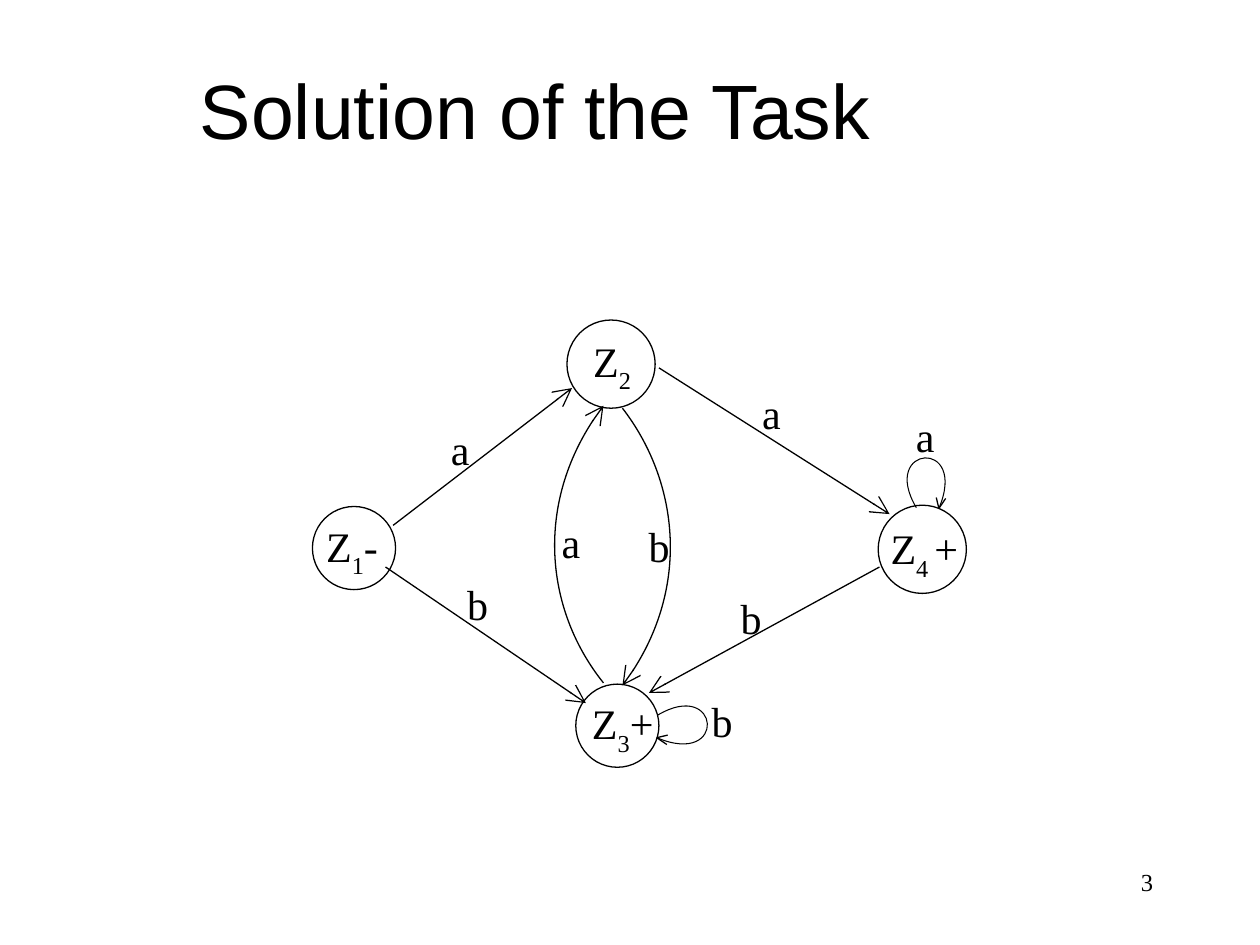
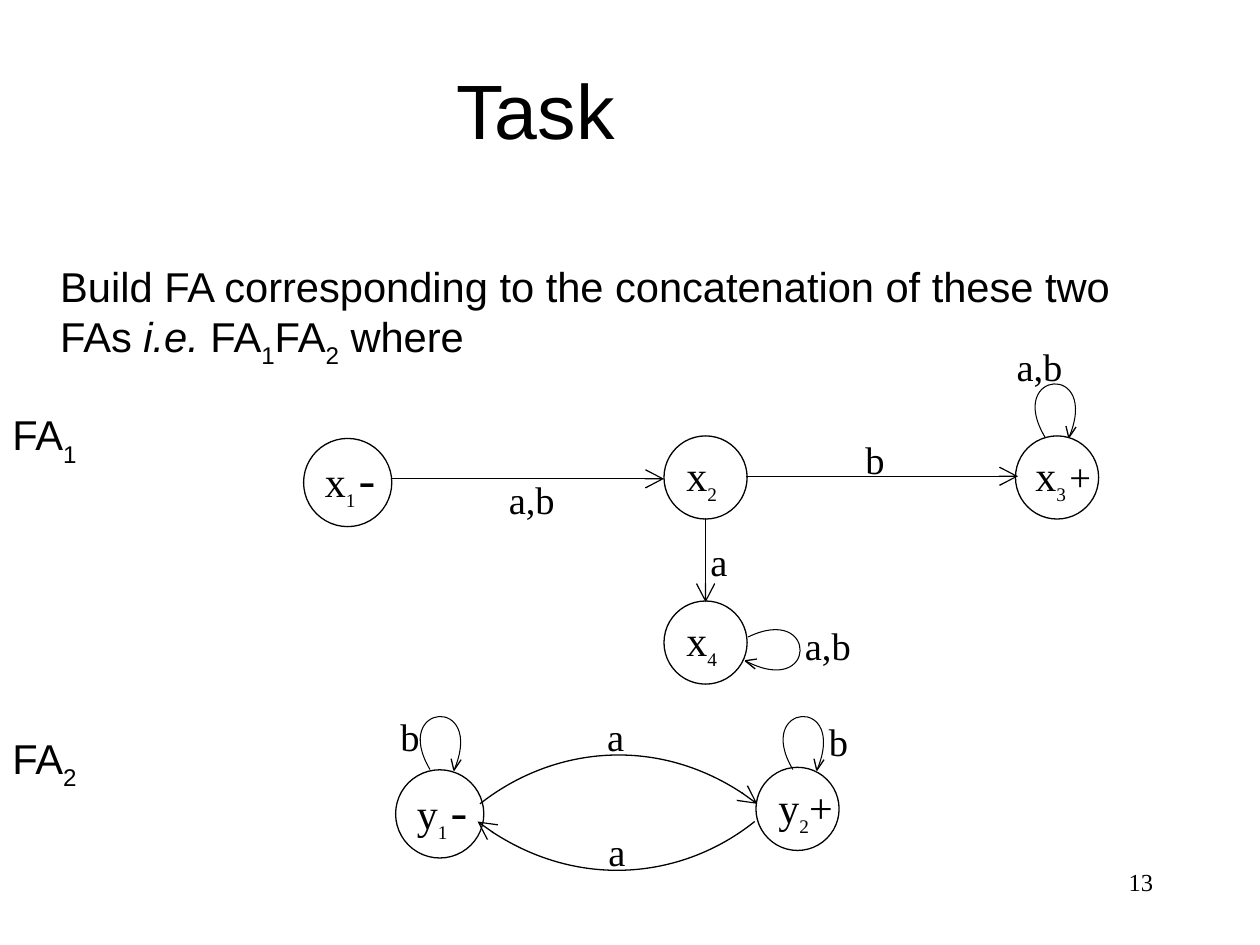
from dataclasses import dataclass
from math import cos, radians, sin
from typing import Any

from lxml.etree import SubElement
from pptx import Presentation
from pptx.dml.color import RGBColor
from pptx.enum.shapes import MSO_CONNECTOR, MSO_SHAPE
from pptx.enum.text import MSO_ANCHOR as Anchor, PP_ALIGN as Align
from pptx.oxml.ns import qn
from pptx.util import Inches, Pt

COLORS = {"ink": "000000", "paper": "FFFFFF"}
SANS, SERIF, DASH = "Arial", "Times New Roman", "Cabin"
STROKE, LOOP_STROKE = 0.75, 0.6
LOOP_WIDTH, LOOP_HEIGHT = 0.75, 0.63
LOOP = [(0.36, 0.63), (0, 0.13), (0.75, 0), (0.55, 0.62)]
LOOP_BARBS = [(0.6, 0.53), (0.52, 0.53)]


def rgb(name):
    return RGBColor.from_string(COLORS[name])


def text_frame(slide, box, anchor=Anchor.TOP):
    frame = slide.shapes.add_textbox(*map(Inches, box)).text_frame
    frame.word_wrap = True
    frame.vertical_anchor = anchor
    return frame


def add_runs(paragraph, runs, size, font):
    for words, style in runs:
        run = paragraph.add_run()
        run.text = words
        run.font.size = Pt(style.get("size", size))
        run.font.name = style.get("font", font)
        run.font.italic = style.get("italic", False)
        run.font.color.rgb = rgb("ink")
        if style.get("sub"):
            run.font._element.set("baseline", "-30000")


def write(slide, box, runs, size, font=SERIF, align=Align.LEFT, anchor=Anchor.TOP):
    paragraph = text_frame(slide, box, anchor).paragraphs[0]
    paragraph.alignment = align
    add_runs(paragraph, runs, size, font)


def plain(words):
    return [(words, {})]


def sub(words, **style):
    return words, {"sub": True, **style}


def ink_line(shape, width=STROKE, arrow=False):
    shape.line.color.rgb = rgb("ink")
    shape.line.width = Pt(width)
    if arrow:
        SubElement(shape.line._get_or_add_ln(), qn("a:tailEnd"), type="arrow", w="lg", len="lg")


def bend(stroke):
    for outline in stroke._element.iter(qn("a:path")):
        sides = outline.findall(qn("a:lnTo"))
        curve = SubElement(outline, qn("a:cubicBezTo"))
        for side in sides:
            curve.append(side[0])
            outline.remove(side)


@dataclass
class Automaton:
    slide: Any
    left: float
    top: float
    label_size: int

    def at(self, x, y):
        return Inches(self.left + x), Inches(self.top + y)

    def state(self, x, y, diameter, name_offset, name):
        circle = self.slide.shapes.add_shape(
            MSO_SHAPE.OVAL, *self.at(x, y), Inches(diameter), Inches(diameter))
        circle.shadow.inherit = False
        circle.fill.solid()
        circle.fill.fore_color.rgb = rgb("paper")
        ink_line(circle)
        dx, dy = name_offset
        write(self.slide, (self.left + x + dx, self.top + y + dy, 0.8, 0.5), name, 24)

    def label(self, x, y, letters):
        write(self.slide, (self.left + x, self.top + y, 0.9, 0.45), plain(letters), self.label_size)

    def straight(self, start, end):
        edge = self.slide.shapes.add_connector(
            MSO_CONNECTOR.STRAIGHT, *self.at(*start), *self.at(*end))
        ink_line(edge, arrow=True)
        SubElement(edge._element.spPr, qn("a:effectLst"))

    def outline(self, points, width=STROKE, arrow=False):
        first, *rest = [self.at(*point) for point in points]
        builder = self.slide.shapes.build_freeform(*first, scale=1.0)
        builder.add_line_segments(rest, close=False)
        stroke = builder.convert_to_shape()
        stroke.shadow.inherit = False
        stroke.fill.background()
        ink_line(stroke, width, arrow)
        return stroke

    def arc(self, *controls):
        bend(self.outline(controls, arrow=True))

    def loop(self, x, y, turn=5, scale=1.0):
        c, s = cos(radians(turn)), sin(radians(turn))
        half_width, half_height = scale * LOOP_WIDTH / 2, scale * LOOP_HEIGHT / 2

        def turned(px, py):
            dx, dy = scale * px - half_width, scale * py - half_height
            return x + half_width + c * dx - s * dy, y + half_height + s * dx + c * dy

        ring = self.outline([(x + scale * px, y + scale * py) for px, py in LOOP], LOOP_STROKE)
        bend(ring)
        ring.rotation = turn
        for barb in LOOP_BARBS:
            self.outline([turned(*barb), turned(*LOOP[-1])])

    def draw(self, states, edges=(), arcs=(), loops=(), labels=()):
        for method, items in ((self.state, states), (self.straight, edges), (self.arc, arcs),
                              (self.loop, loops), (self.label, labels)):
            for item in items:
                method(*item)


def new_slide(deck, title, number):
    slide = deck.slides.add_slide(deck.slide_layouts[6])
    write(slide, (0, 0.24, 8.5, 1.25), plain(title), 44, SANS, Align.CENTER, Anchor.MIDDLE)
    write(slide, (7.17, 6.83, 2.08, 0.5), plain(number), 14, align=Align.RIGHT)
    return slide


def solution_automaton(slide, left, top):
    Automaton(slide, left, top, 24).draw(
        states=[
            (0.48, 2.02, 0.66, (0.01, 0.06), [("Z", {}), sub("1"), ("-", {})]),
            (2.5, 0.54, 0.7, (0.11, 0.07), [("Z", {}), sub("2")]),
            (2.57, 3.43, 0.66, (0.03, 0.06), [("Z", {}), sub("3"), ("+", {})]),
            (4.97, 2.01, 0.7, (0, 0.09), [("Z", {}), sub("4 "), ("+", {})]),
        ],
        edges=[
            ((1.12, 2.17), (2.54, 1.08)),
            ((1.06, 2.5), (2.65, 3.58)),
            ((3.23, 0.92), (5.06, 2.08)),
            ((4.98, 2.5), (3.15, 3.5)),
        ],
        arcs=[
            ((2.79, 3.42), (2.34, 2.86), (2.23, 1.95), (2.79, 1.22)),
            ((2.94, 1.24), (3.38, 1.81), (3.49, 2.72), (2.94, 3.44)),
        ],
        loops=[(4.96, 1.44, 5, 0.94), (3.16, 3.42, 95, 0.94)],
        labels=[
            (1.48, 1.31, "a"), (1.61, 2.54, "b"), (2.36, 2.05, "a"), (3.05, 2.08, "b"),
            (3.95, 1.03, "a"), (3.78, 2.65, "b"), (5.17, 1.21, "a"), (3.55, 3.47, "b"),
        ],
    )


def indexed(letter, index, *sign):
    return [(letter, {}), sub(index, size=19), *sign]


GAP = sub(" ", size=13)
MINUS = ("-", {"font": DASH})


def first_automaton(slide, left, top):
    Automaton(slide, left, top, 22).draw(
        states=[
            (0.41, 1.48, 0.7, (0.07, 0.09), indexed("x", "1", GAP, MINUS)),
            (3.27, 1.46, 0.66, (0.08, 0.06), indexed("x", "2")),
            (6.06, 1.46, 0.66, (0.06, 0.06), indexed("x", "3", GAP, ("+", {"size": 22}))),
            (3.27, 2.77, 0.66, (0.08, 0.06), indexed("x", "4")),
        ],
        edges=[
            ((1.1, 1.8), (3.27, 1.8)),
            ((3.92, 1.78), (6.08, 1.78)),
            ((3.6, 2.11), (3.6, 2.78)),
        ],
        loops=[(5.96, 0.84), (3.87, 2.81, 100)],
        labels=[
            (1.94, 1.73, "a,b"), (4.77, 1.41, "b"), (3.54, 2.22, "a"),
            (5.97, 0.67, "a,b"), (4.29, 2.89, "a,b"),
        ],
    )


def second_automaton(slide, left, top):
    Automaton(slide, left, top, 22).draw(
        states=[
            (0.14, 1.11, 0.7, (0.07, 0.09), indexed("y", "1", GAP, MINUS)),
            (3, 1.09, 0.66, (0.08, 0.06), indexed("y", "2", ("+", {}))),
        ],
        arcs=[
            ((0.81, 1.38), (1.38, 0.93), (2.29, 0.82), (3.01, 1.38)),
            ((2.99, 1.52), (2.43, 1.97), (1.52, 2.08), (0.79, 1.52)),
        ],
        loops=[(0.08, 0.48), (2.96, 0.48)],
        labels=[(0.08, 0.61, "b"), (1.72, 0.61, "a"), (1.73, 1.52, "a"), (3.48, 0.65, "b")],
    )


def task_text(slide, left, top):
    question = [
        ("Build FA corresponding to the concatenation of these two FAs ", {}),
        ("i.e. ", {"italic": True}),
        ("FA", {}), sub("1"), ("FA", {}), sub("2"), (" where", {}),
    ]
    frame = text_frame(slide, (left, top, 8.94, 4.56))
    paragraph = frame.paragraphs[0]
    paragraph._p.get_or_add_pPr().set("marL", str(Inches(0.38)))
    add_runs(paragraph, question, 23.8, SANS)
    for index, gap in (("1", 22.6), ("2", 151)):
        paragraph = frame.add_paragraph()
        paragraph.space_before = Pt(gap)
        add_runs(paragraph, [("FA", {}), sub(index)], 23.8, SANS)


def main():
    deck = Presentation()
    deck.slide_width, deck.slide_height = Inches(10), Inches(7.5)

    solution = new_slide(deck, "Solution of the Task", "3")
    solution_automaton(solution, 2, 2)

    task = new_slide(deck, "Task", "13")
    task_text(task, 0, 2.02)
    first_automaton(task, 2, 2)
    second_automaton(task, 3, 5)

    deck.save("out.pptx")


if __name__ == "__main__":
    main()
